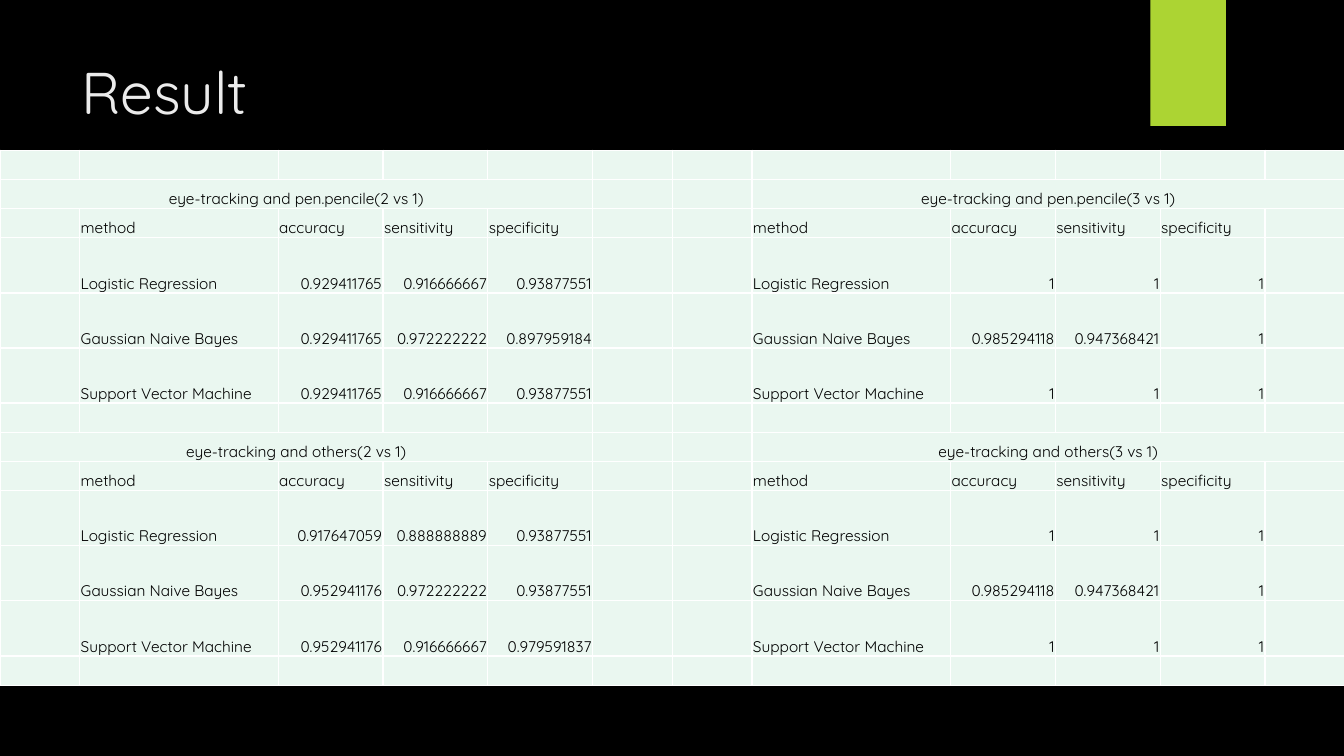
from lxml import etree
from pptx import Presentation
from pptx.dml.color import RGBColor
from pptx.enum.shapes import MSO_SHAPE
from pptx.enum.text import MSO_ANCHOR, PP_ALIGN
from pptx.oxml.ns import qn
from pptx.util import Inches, Pt

RECTANGLE = MSO_SHAPE.RECTANGLE
TOP, BOTTOM = MSO_ANCHOR.TOP, MSO_ANCHOR.BOTTOM
LEFT, CENTER, RIGHT = PP_ALIGN.LEFT, PP_ALIGN.CENTER, PP_ALIGN.RIGHT
FONT = "Quicksand"
GRID_WHITE = "FFFFFF"


def color(hex_string):
    return RGBColor.from_string(hex_string)


def add_borders(cell):
    properties = cell._tc.get_or_add_tcPr()
    for position, side in enumerate(("a:lnL", "a:lnR", "a:lnT", "a:lnB")):
        line = etree.Element(qn(side), w=str(Pt(1)))
        fill = etree.SubElement(line, qn("a:solidFill"))
        etree.SubElement(fill, qn("a:srgbClr"), val=GRID_WHITE)
        properties.insert(position, line)


prs = Presentation()
prs.slide_width = Inches(13.33)
prs.slide_height = Inches(7.5)
slide = prs.slides.add_slide(prs.slide_layouts[6])
slide.background.fill.solid()
slide.background.fill.fore_color.rgb = color("000000")

accent_tab = slide.shapes.add_shape(
    RECTANGLE, Inches(11.41), Inches(0), Inches(0.75), Inches(1.25))
accent_tab.shadow.inherit = False
accent_tab.fill.solid()
accent_tab.fill.fore_color.rgb = color("ACD433")
accent_tab.line.fill.background()

heading = slide.shapes.add_textbox(
    Inches(0.71), Inches(0.5), Inches(10.29), Inches(1.53)).text_frame
heading.word_wrap = True
heading.vertical_anchor = TOP
heading.text = "Result"
heading_font = heading.paragraphs[0].font
heading_font.name = FONT
heading_font.size = Pt(42)
heading_font.color.rgb = color("EBEBEB")

METRICS = ["method", "accuracy", "sensitivity", "specificity"]
METHODS = ["Logistic Regression", "Gaussian Naive Bayes", "Support Vector Machine"]
VERSUS_THREE = [["1", "1", "1"],
                ["0.985294118", "0.947368421", "1"],
                ["1", "1", "1"]]
# (title row, first column, title, scores)
comparisons = [
    (1, 0, "eye-tracking and pen.pencile(2 vs 1)",
     [["0.929411765", "0.916666667", "0.93877551"],
      ["0.929411765", "0.972222222", "0.897959184"],
      ["0.929411765", "0.916666667", "0.93877551"]]),
    (1, 7, "eye-tracking and pen.pencile(3 vs 1)", VERSUS_THREE),
    (7, 0, "eye-tracking and others(2 vs 1)",
     [["0.917647059", "0.888888889", "0.93877551"],
      ["0.952941176", "0.972222222", "0.93877551"],
      ["0.952941176", "0.916666667", "0.979591837"]]),
    (7, 7, "eye-tracking and others(3 vs 1)", VERSUS_THREE),
]
entries = {}
for title_row, first_column, title, scores in comparisons:
    method_column = first_column + 1 if first_column == 0 else first_column
    entries[title_row, first_column] = (title, CENTER)
    for offset, metric in enumerate(METRICS):
        entries[title_row + 1, method_column + offset] = (metric, LEFT)
    for row, (method, values) in enumerate(zip(METHODS, scores), title_row + 2):
        entries[row, method_column] = (method, LEFT)
        for column, value in enumerate(values, method_column + 1):
            entries[row, column] = (value, RIGHT)

TABLE_HEIGHT, SHORT_ROW = 5.31, 0.29
TALL_ROW = (TABLE_HEIGHT - 7 * SHORT_ROW) / 6
row_heights = ([SHORT_ROW] * 3 + [TALL_ROW] * 3) * 2 + [SHORT_ROW]
column_widths = [0.79, 1.97, 1.04, 1.04, 1.04, 0.79] * 2

results = slide.shapes.add_table(
    len(row_heights), len(column_widths),
    Inches(0), Inches(1.49), Inches(13.33), Inches(TABLE_HEIGHT)).table
results.first_row = False
results.horz_banding = False
for row, height in zip(results.rows, row_heights):
    row.height = Inches(height)
for column, width in zip(results.columns, column_widths):
    column.width = Inches(width)

for row in range(len(row_heights)):
    for column in range(len(column_widths)):
        cell = results.cell(row, column)
        cell.fill.solid()
        cell.fill.fore_color.rgb = color("EAF7F0")
        add_borders(cell)
        cell.vertical_anchor = BOTTOM
        cell.margin_left = cell.margin_right = cell.margin_top = Inches(0.01)
        cell.margin_bottom = Inches(0)
        text, alignment = entries.get((row, column), ("", LEFT))
        cell.text = text
        paragraph = cell.text_frame.paragraphs[0]
        paragraph.alignment = alignment
        paragraph.font.name = FONT
        paragraph.font.size = Pt(11)
        paragraph.font.color.rgb = color("000000")
        if not text:
            etree.SubElement(paragraph._p, qn("a:endParaRPr"), sz="1100")

for title_row, first_column, title, scores in comparisons:
    results.cell(title_row, first_column).merge(
        results.cell(title_row, first_column + 4))

prs.save("out.pptx")
